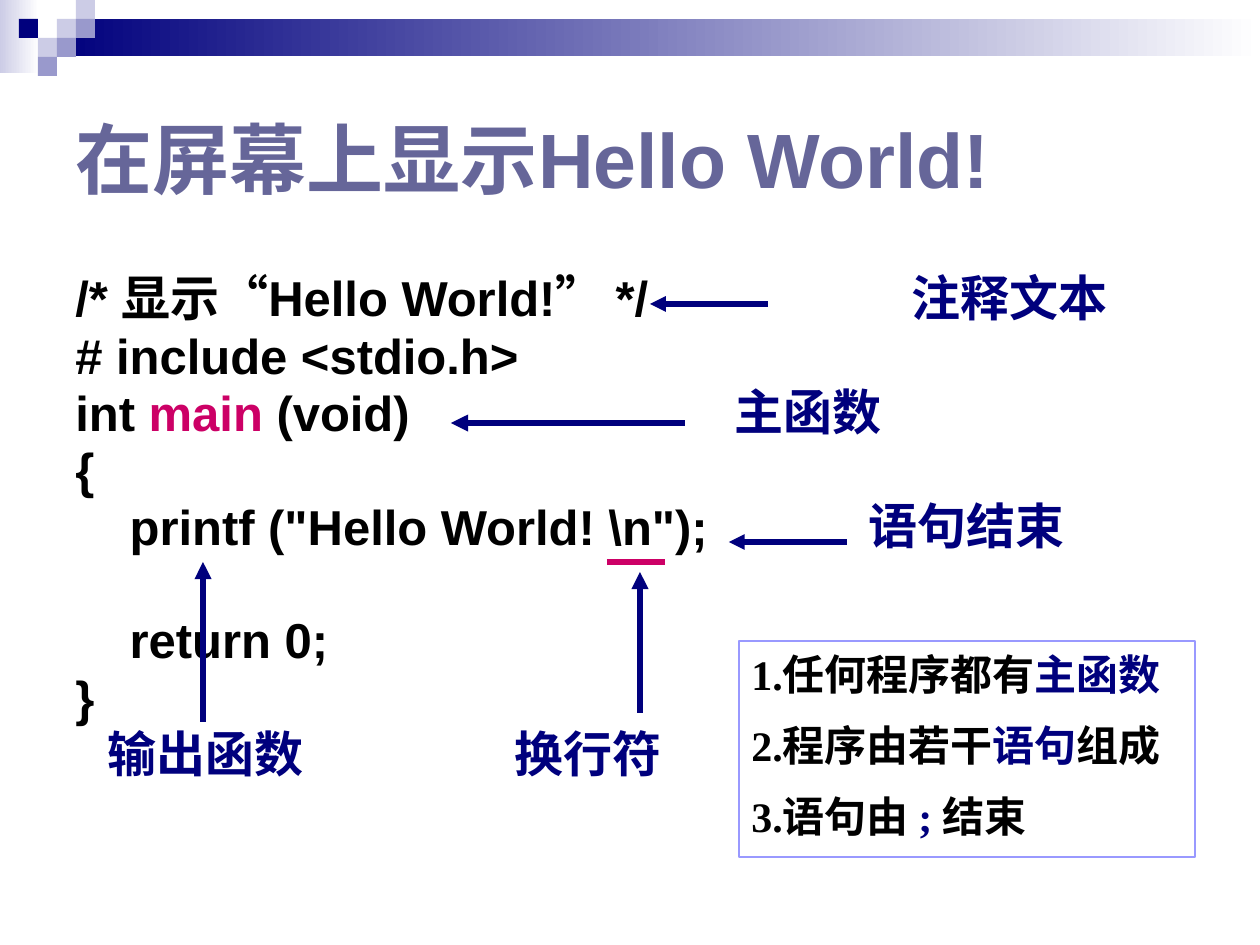
from dataclasses import dataclass

from lxml.etree import SubElement
from pptx import Presentation
from pptx.dml.color import RGBColor
from pptx.enum.shapes import MSO_CONNECTOR, MSO_SHAPE
from pptx.enum.text import MSO_ANCHOR, PP_ALIGN
from pptx.oxml.ns import qn
from pptx.util import Emu, Pt


@dataclass(frozen=True)
class Theme:
    sans: str = "Arial"
    serif: str = "Times New Roman"
    head: int = 44
    code: int = 28
    note: int = 24
    title: str = "666699"
    ink: str = "000000"
    navy: str = "00007D"
    pink: str = "CC0066"
    mid: str = "9999CC"
    pale: str = "CCCCE6"
    edge: str = "9999FF"
    white: str = "FFFFFF"


T = Theme()

# Content
TITLE = "在屏幕上显示Hello World!"

# Code rows: runs, space before (pt)
GAP = 5.8
CODE = [
    ([("/* 显示“Hello World!” */", T.ink)], 0),
    ([("# include <stdio.h>", T.ink)], GAP),
    ([("int ", T.ink), ("main ", T.pink), ("(void)", T.ink)], GAP),
    ([("{", T.ink)], GAP),
    ([('    printf ("Hello World! \\n");', T.ink)], GAP),
    ([("    return 0;", T.ink)], 37.7),
    ([("}", T.ink)], GAP),
]

# Labels: text, box left (px), line of the code grid
TOP, PITCH = 273, 57
LABELS = [
    ("注释文本", 899, 0),
    ("主函数", 722, 2),
    ("语句结束", 856, 4),
    ("输出函数", 95, 8),
    ("换行符", 502, 8),
]

NOTES = [
    [("1.任何程序都有", T.ink), ("主函数", T.navy)],
    [("2.程序由若干", T.ink), ("语句", T.navy), ("组成", T.ink)],
    [("3.语句由 ", T.ink), ("; ", T.navy), ("结束", T.ink)],
]

# Lines: start, end, colour, width (pt), arrow at the end
LINES = [
    ((685, 423), (451, 423), T.navy, 3.25, True),
    ((203, 722), (203, 562), T.navy, 3.25, True),
    ((847, 542), (729, 542), T.navy, 3, True),
    ((607, 562), (665, 562), T.pink, 3.25, False),
    ((640, 713), (640, 572), T.navy, 3.25, True),
    ((768, 304), (650, 304), T.navy, 3, True),
]

# Corner squares: column, row, colour
CELL = 19
CELLS = [
    (3, 1, T.pale), (4, 0, T.pale), (4, 1, T.mid), (2, 2, T.pale),
    (1, 1, T.navy), (3, 2, T.mid), (2, 3, T.mid),
]
BANDS = [((0, 0, 39, 73), T.pale), ((57, 19, 1203, 37), T.navy)]


def px(n):
    return Emu(round(n * 914400 / 126))


def rgb(code):
    return RGBColor.from_string(code)


def rect(slide, box):
    shape = slide.shapes.add_shape(MSO_SHAPE.RECTANGLE, *map(px, box))
    shape.shadow.inherit = False
    shape.line.fill.background()
    return shape


def write(para, runs, face, size):
    for text, color in runs:
        run = para.add_run()
        run.text = text
        font = run.font
        font.name, font.size, font.bold = face, Pt(size), True
        font.color.rgb = rgb(color)


def rows(frame, count):
    return [frame.paragraphs[0]] + [frame.add_paragraph()
                                    for _ in range(count - 1)]


def code_box(slide, box, lines):
    frame = slide.shapes.add_textbox(*map(px, box)).text_frame
    frame.word_wrap = True
    for para, (runs, before) in zip(rows(frame, len(lines)), lines):
        para.line_spacing = 0.8
        para.space_before = Pt(before)
        write(para, runs, T.sans, T.code)


def draw_line(slide, start, end, color, width, arrow):
    line = slide.shapes.add_connector(
        MSO_CONNECTOR.STRAIGHT, *map(px, start + end))
    line.line.color.rgb = rgb(color)
    line.line.width = Pt(width)
    if arrow:
        SubElement(line.line._get_or_add_ln(), qn("a:tailEnd"),
                   type="triangle")
    SubElement(line._element.spPr, qn("a:effectLst"))


def main():
    deck = Presentation()
    deck.slide_width, deck.slide_height = px(1260), px(945)
    slide = deck.slides.add_slide(deck.slide_layouts[5])

    # Header bands and squares
    for box, color in BANDS:
        fill = rect(slide, box).fill
        fill.gradient()
        fill.gradient_angle = 0
        for stop, tone in zip(fill.gradient_stops, (color, T.white)):
            stop.color.rgb = rgb(tone)
    for col, row, color in CELLS:
        fill = rect(slide, (col * CELL, row * CELL, CELL, CELL)).fill
        fill.solid()
        fill.fore_color.rgb = rgb(color)

    # Title
    title = slide.shapes.title
    title.left, title.top, title.width, title.height = map(
        px, (63, 63, 1134, 189))
    frame = title.text_frame
    frame.vertical_anchor = MSO_ANCHOR.MIDDLE
    frame.paragraphs[0].alignment = PP_ALIGN.LEFT
    write(frame.paragraphs[0], [(TITLE, T.title)], T.sans, T.head)

    # Code and its labels
    code_box(slide, (63, TOP, 680, 8 * PITCH), CODE)
    for text, left, row in LABELS:
        code_box(slide, (left, TOP + row * PITCH, 230, PITCH),
                 [([(text, T.navy)], 0)])

    # Arrows and underline
    for item in LINES:
        draw_line(slide, *item)

    # Summary panel
    panel = rect(slide, (739, 641, 456, 216))
    panel.fill.background()
    panel.line.color.rgb = rgb(T.edge)
    panel.line.width = Pt(1)
    frame = panel.text_frame
    frame.word_wrap = True
    frame.vertical_anchor = MSO_ANCHOR.MIDDLE
    frame.margin_bottom = px(15)
    for i, (para, runs) in enumerate(zip(rows(frame, len(NOTES)), NOTES)):
        para.alignment = PP_ALIGN.LEFT
        para.space_before = Pt(12 if i else 0)
        write(para, runs, T.serif, T.note)

    deck.save("out.pptx")


if __name__ == "__main__":
    main()
